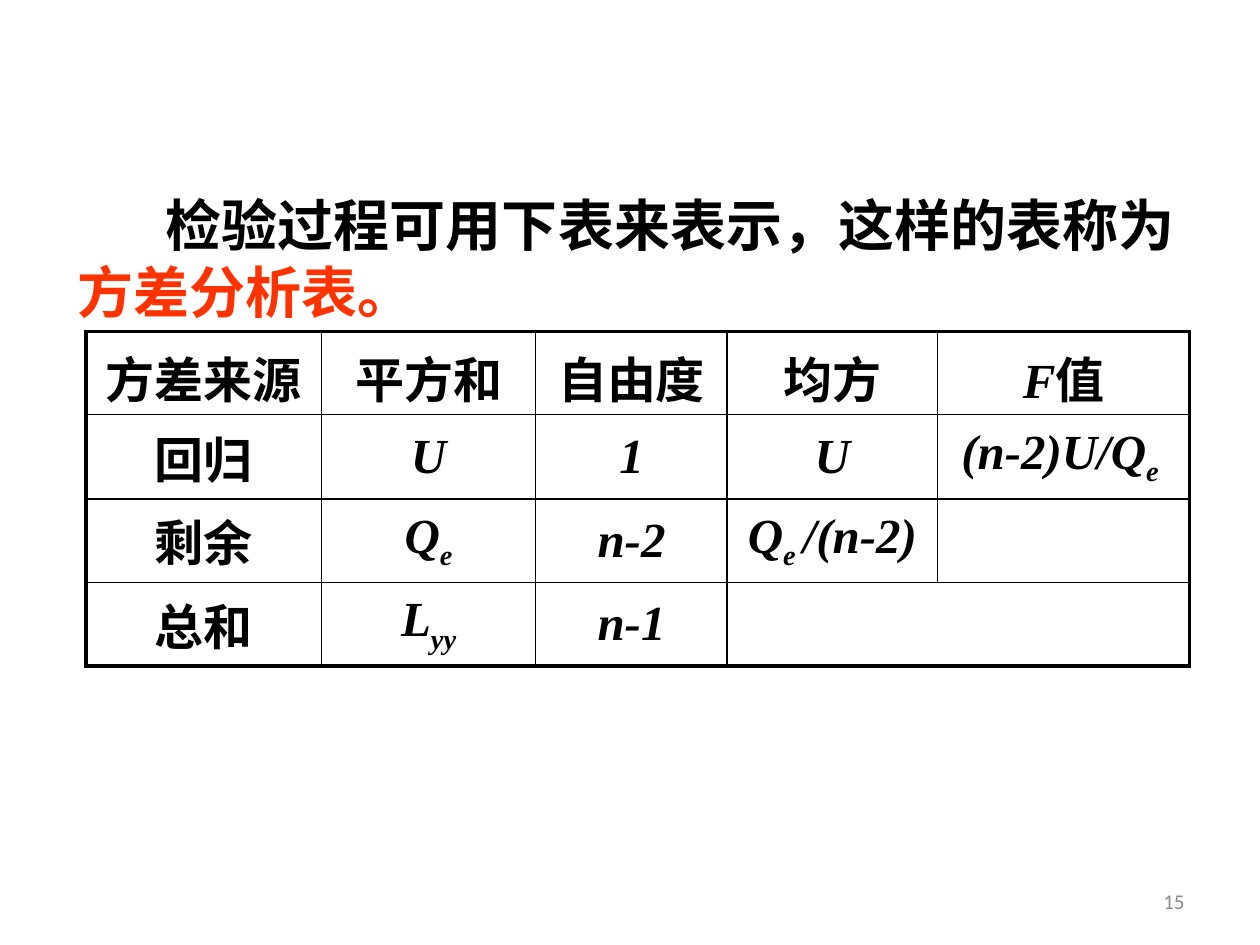
import pptx
import pptx.dml.color
import pptx.enum.text
import pptx.oxml
import pptx.oxml.ns
import pptx.util
from dataclasses import dataclass
from pptx.util import Cm, Pt

ALIGN = pptx.enum.text.PP_ALIGN
ANCHOR = pptx.enum.text.MSO_ANCHOR


@dataclass(frozen=True)
class Theme:
    ink: str = "000000"
    accent: str = "FF3300"
    muted: str = "8C8C8C"
    serif: str = "Times New Roman"
    sans: str = "Calibri"
    intro_size: int = 32
    table_size: int = 28
    number_size: int = 12
    thick: float = 2.25
    thin: float = 1


THEME = Theme()

# Each cell is a list of runs: plain, italic ("i") or italic subscript ("sub")
ROWS = [
    [[("方差来源", "")], [("平方和", "")], [("自由度", "")], [("均方", "")],
     [("F", "i"), ("值", "")]],
    [[("回归", "")], [("U", "i")], [("1", "i")], [("U", "i")],
     [("(n-2)U/Q", "i"), ("e ", "sub")]],
    [[("剩余", "")], [("Q", "i"), ("e", "sub")], [("n-2", "i")],
     [("Q", "i"), ("e ", "sub"), ("/(n-2)", "i")], []],
    [[("总和", "")], [("L", "i"), ("yy", "sub")], [("n-1", "i")], [], []],
]
COLUMN_WIDTHS = [4.75, 4.32, 3.86, 4.24, 5.08]
ROW_HEIGHTS = [1.48, 1.7, 1.6, 1.6]


def apply(target, values):
    for name, value in values.items():
        setattr(target, name, value)


def set_font(font, color, **values):
    apply(font, values)
    font.color.rgb = pptx.dml.color.RGBColor.from_string(color)


def add_intro(slide):
    title = slide.shapes.title
    apply(title, dict(left=Cm(1.3), top=Cm(3.71), width=Cm(22.89), height=Cm(2.97)))
    frame = title.text_frame
    apply(frame, dict(word_wrap=False, vertical_anchor=ANCHOR.TOP,
                      auto_size=pptx.enum.text.MSO_AUTO_SIZE.NONE))
    frame.text = "检验过程可用下表来表示，这样的表称为\n方差分析表。"
    for paragraph, color in zip(frame.paragraphs, (THEME.ink, THEME.accent)):
        apply(paragraph, dict(alignment=ALIGN.LEFT, space_before=Pt(0)))
        set_font(paragraph.runs[0].font, color, name=THEME.serif,
                 size=Pt(THEME.intro_size), bold=True)
    # First-line indent of the opening sentence
    frame.paragraphs[0]._p.get_or_add_pPr().set("indent", str(Cm(1.79)))


def set_borders(cell, widths):
    properties = cell._tc.get_or_add_tcPr()
    for index, (edge, width) in enumerate(widths.items()):
        line = pptx.oxml.parse_xml(
            f'<a:{edge} {pptx.oxml.ns.nsdecls("a")} w="{Pt(width)}"><a:solidFill>'
            f'<a:srgbClr val="{THEME.ink}"/></a:solidFill></a:{edge}>')
        properties.insert(index, line)


def fill_cell(cell, runs):
    cell.fill.background()
    cell.vertical_anchor = ANCHOR.MIDDLE
    paragraph = cell.text_frame.paragraphs[0]
    paragraph.alignment = ALIGN.CENTER
    for text, style in runs:
        run = paragraph.add_run()
        run.text = text
        set_font(run.font, THEME.ink, name=THEME.serif, size=Pt(THEME.table_size),
                 bold=True, italic=bool(style))
        if style == "sub":
            run._r.get_or_add_rPr().set("baseline", "-25000")


def add_variance_table(slide):
    last_row, last_column = len(ROWS) - 1, len(COLUMN_WIDTHS) - 1
    table = slide.shapes.add_table(
        len(ROWS), len(COLUMN_WIDTHS), Cm(1.73), Cm(6.68),
        Cm(sum(COLUMN_WIDTHS)), Cm(sum(ROW_HEIGHTS))).table
    apply(table, dict(first_row=False, horz_banding=False))
    for column, width in zip(table.columns, COLUMN_WIDTHS):
        column.width = Cm(width)
    for row, height in zip(table.rows, ROW_HEIGHTS):
        row.height = Cm(height)
    table.cell(last_row, 3).merge(table.cell(last_row, last_column))

    def weight(is_outer):
        return THEME.thick if is_outer else THEME.thin

    for r, row in enumerate(ROWS):
        for c, runs in enumerate(row):
            cell = table.cell(r, c)
            fill_cell(cell, runs)
            right = c + (cell.span_width - 1 if cell.is_merge_origin else 0)
            widths = dict(lnL=weight(c == 0), lnR=weight(right == last_column),
                          lnT=weight(r == 0), lnB=weight(r == last_row))
            if cell.is_spanned:
                del widths["lnL"]
            set_borders(cell, widths)
            if r == 0:
                apply(cell, dict(margin_top=Cm(0.2), margin_bottom=Cm(0.05)))


def add_slide_number(slide):
    box = slide.shapes.add_textbox(Cm(18.21), Cm(17.65), Cm(5.92), Cm(1.02))
    frame = box.text_frame
    apply(frame, dict(word_wrap=True, vertical_anchor=ANCHOR.MIDDLE, text="15"))
    paragraph = frame.paragraphs[0]
    paragraph.alignment = ALIGN.RIGHT
    set_font(paragraph.runs[0].font, THEME.muted, name=THEME.sans,
             size=Pt(THEME.number_size))


def main():
    presentation = pptx.Presentation()
    apply(presentation, dict(slide_width=Cm(25.4), slide_height=Cm(19.05)))
    slide = presentation.slides.add_slide(presentation.slide_layouts[5])
    add_intro(slide)
    add_variance_table(slide)
    add_slide_number(slide)
    presentation.save("out.pptx")


if __name__ == "__main__":
    main()
